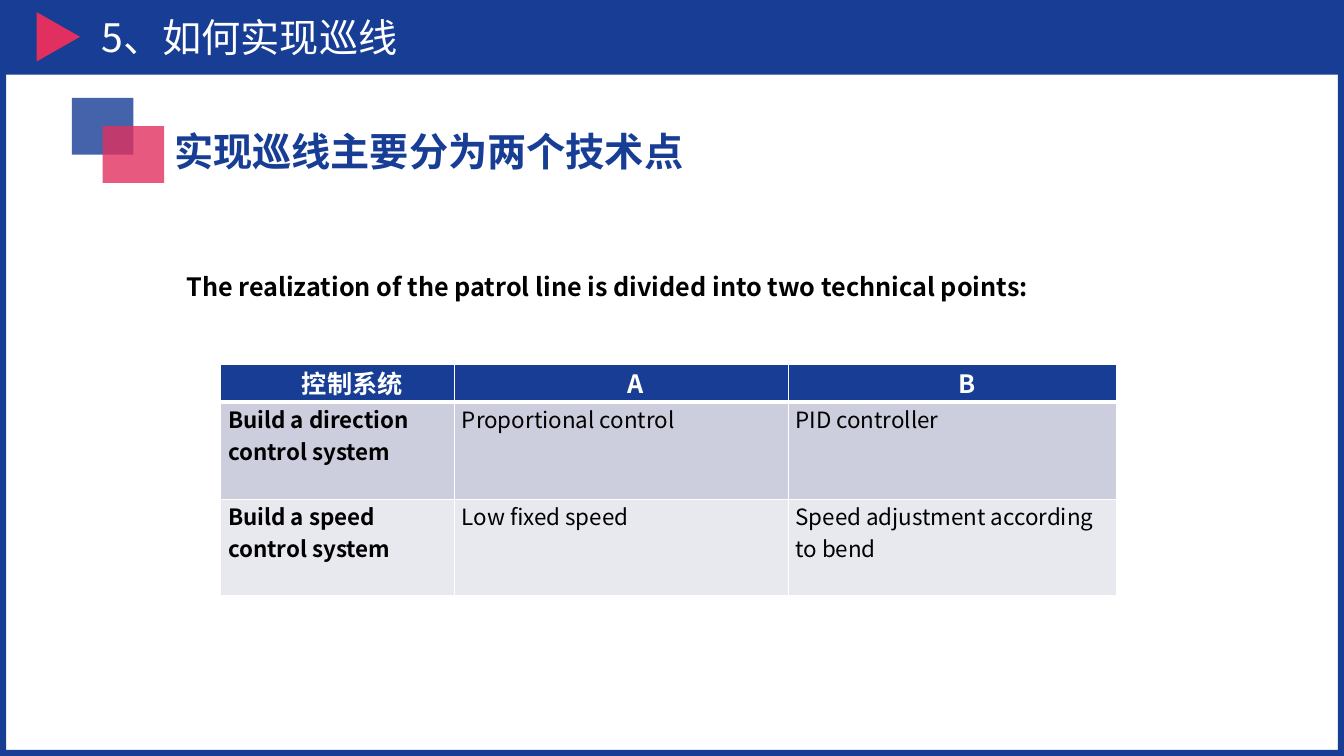
from lxml.etree import SubElement
from pptx import Presentation
from pptx.dml.color import RGBColor
from pptx.enum.shapes import MSO_SHAPE
from pptx.enum.text import MSO_ANCHOR, PP_ALIGN
from pptx.oxml.ns import qn
from pptx.util import Pt

COLORS = {
    "blue": "173D95",
    "red": "E1305F",
    "white": "FFFFFF",
    "black": "000000",
    "first_row": "CCCEDD",
    "second_row": "E8E8EF",
}
FONT = "Noto Sans CJK SC"
WIDTH, HEIGHT = 960, 540
BAR_HEIGHT = 53.28


def color(name):
    return RGBColor.from_string(COLORS[name])


def write(frame, text, size=18, ink="black", bold=False, align=PP_ALIGN.LEFT, indent=0):
    paragraph = frame.paragraphs[0]
    paragraph.alignment = align
    if indent:
        paragraph._p.get_or_add_pPr().set("indent", str(Pt(indent)))
    run = paragraph.add_run()
    run.text = text
    run.font.size = Pt(size)
    run.font.bold = bold
    run.font.color.rgb = color(ink)
    run.font.name = FONT
    SubElement(run._r.get_or_add_rPr(), qn("a:ea"), typeface=FONT)


class SlideBuilder:
    def __init__(self, slide):
        self.slide = slide

    def shape(self, kind, left, top, width, height, fill, alpha=100, rotation=0):
        shape = self.slide.shapes.add_shape(kind, Pt(left), Pt(top), Pt(width), Pt(height))
        shape.shadow.inherit = False
        shape.line.fill.background()
        shape.fill.solid()
        shape.fill.fore_color.rgb = color(fill)
        shape.rotation = rotation
        if alpha < 100:
            fill_color = shape._element.spPr.find(qn("a:solidFill"))[0]
            SubElement(fill_color, qn("a:alpha"), val=str(alpha * 1000))
        return shape

    def text(self, text, left, top, width, height, wrap=True, anchor=MSO_ANCHOR.TOP, **style):
        box = self.slide.shapes.add_textbox(Pt(left), Pt(top), Pt(width), Pt(height))
        frame = box.text_frame
        frame.word_wrap = wrap
        frame.vertical_anchor = anchor
        write(frame, text, **style)

    def borders(self, cell, top, bottom):
        properties = cell._tc.get_or_add_tcPr()
        for side, width in {"L": 1, "R": 1, "T": top, "B": bottom}.items():
            line = SubElement(properties, qn(f"a:ln{side}"), w=str(Pt(width)))
            fill = SubElement(line, qn("a:solidFill"))
            SubElement(fill, qn("a:srgbClr"), val=COLORS["white"])

    def table(self, rows, left, top, widths, heights, fills):
        table = self.slide.shapes.add_table(
            len(rows), len(widths), Pt(left), Pt(top), Pt(sum(widths)), Pt(sum(heights))
        ).table
        for column, width in zip(table.columns, widths):
            column.width = Pt(width)
        for row, height in zip(table.rows, heights):
            row.height = Pt(height)
        for row_index, texts in enumerate(rows):
            for column_index, text in enumerate(texts):
                cell = table.cell(row_index, column_index)
                cell.margin_left = cell.margin_right = Pt(5.3)
                cell.margin_top = cell.margin_bottom = 0
                self.borders(cell, 3 if row_index == 1 else 1, 3 if row_index == 0 else 1)
                cell.fill.solid()
                cell.fill.fore_color.rgb = color(fills[row_index])
                if row_index == 0:
                    style = dict(ink="white", bold=True, align=PP_ALIGN.CENTER, indent=21)
                else:
                    style = dict(size=16, bold=column_index == 0)
                write(cell.text_frame, text, **style)


def main():
    presentation = Presentation()
    presentation.slide_width, presentation.slide_height = Pt(WIDTH), Pt(HEIGHT)
    builder = SlideBuilder(presentation.slides.add_slide(presentation.slide_layouts[6]))

    border = builder.shape(MSO_SHAPE.FRAME, 0, 0, WIDTH, HEIGHT, "blue")
    border.adjustments[0] = 0.008
    builder.shape(MSO_SHAPE.RECTANGLE, 0, 0, WIDTH, BAR_HEIGHT, "blue")
    builder.shape(MSO_SHAPE.ISOSCELES_TRIANGLE, 24, 10.8, 35.3, 31, "red", rotation=90)
    for step, fill in enumerate(("blue", "red")):
        builder.shape(MSO_SHAPE.RECTANGLE, 51.3 + 22 * step, 69.9 + 20.2 * step,
                      44, 40.5, fill, alpha=80)

    builder.text("实现巡线主要分为两个技术点", 117.4, 87.1, 382.3, 41,
                 wrap=False, size=28, ink="blue", bold=True)
    builder.text("5、如何实现巡线", 65.5, 0, 862.6, BAR_HEIGHT,
                 anchor=MSO_ANCHOR.MIDDLE, size=28, ink="white")
    builder.table(
        [
            ("控制系统", "A", "B"),
            ("Build a direction control system", "Proportional control", "PID controller"),
            ("Build a speed control system", "Low fixed speed",
             "Speed adjustment according to bend"),
        ],
        157.7, 260, (167, 238.3, 234.7), (27.4, 69.2, 69.2),
        ("blue", "first_row", "second_row"),
    )
    builder.text("The realization of the patrol line is divided into two technical points:",
                 126, 190, 730.8, 51, bold=True)
    presentation.save("out.pptx")


if __name__ == "__main__":
    main()
